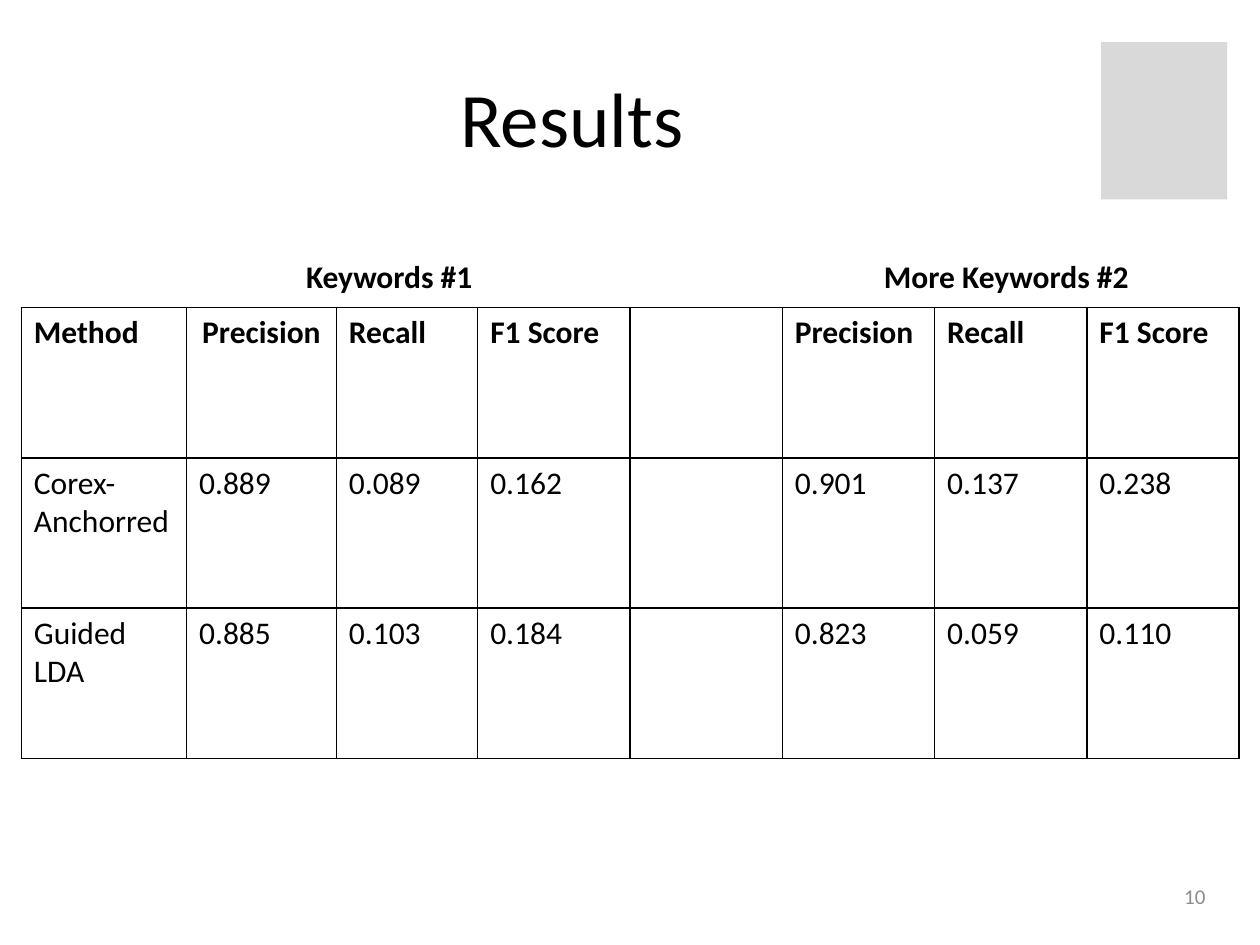
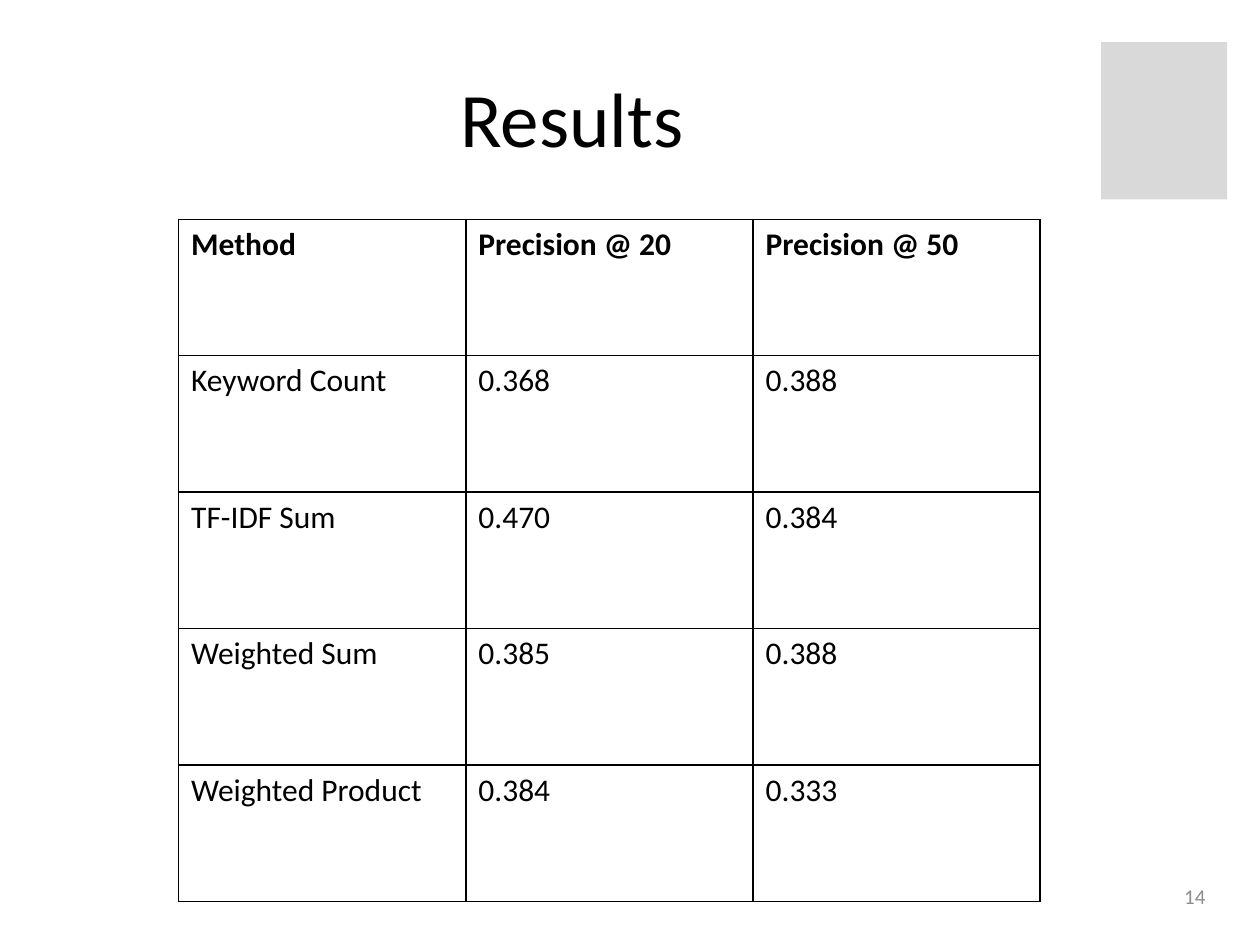
from lxml import etree
from pptx import Presentation
from pptx.dml.color import RGBColor
from pptx.enum.shapes import MSO_SHAPE
from pptx.enum.text import MSO_ANCHOR, PP_ALIGN
from pptx.oxml.ns import qn
from pptx.util import Cm, Pt

RECTANGLE = MSO_SHAPE.RECTANGLE
TOP, MIDDLE = MSO_ANCHOR.TOP, MSO_ANCHOR.MIDDLE
LEFT, CENTER, RIGHT = PP_ALIGN.LEFT, PP_ALIGN.CENTER, PP_ALIGN.RIGHT

BLACK, GREY, LIGHT_GREY = "000000", "8C8C8C", "D9D9D9"
BODY = {"name": "Calibri", "size": Pt(18), "bold": False}
HEADING = {**BODY, "bold": True}
TITLE = {**BODY, "size": Pt(44)}
PAGE_NUMBER = {**BODY, "size": Pt(12)}

KEYWORD_ROWS = [
    ["Method", "Precision", "Recall", "F1 Score", "", "Precision", "Recall", "F1 Score"],
    ["Corex-\nAnchorred", "0.889", "0.089", "0.162", "", "0.901", "0.137", "0.238"],
    ["Guided\nLDA", "0.885", "0.103", "0.184", "", "0.823", "0.059", "0.110"],
]
RANKING_ROWS = [
    ["Method", "Precision @ 20", "Precision @ 50"],
    ["Keyword Count", "0.368", "0.388"],
    ["TF-IDF Sum", "0.470", "0.384"],
    ["Weighted Sum", "0.385", "0.388"],
    ["Weighted Product", "0.384", "0.333"],
]


def rgb(color):
    """Turn a hex string into a colour."""
    return RGBColor.from_string(color)


def write(tf, text, style, color=BLACK, align=LEFT):
    """Fill a text frame with text in one style."""
    tf.text = text
    for p in tf.paragraphs:
        p.alignment = align
        for r in p.runs:
            for key, value in style.items():
                setattr(r.font, key, value)
            r.font.color.rgb = rgb(color)


def add_text(s, box, text, style, color=BLACK, align=LEFT, anchor=TOP):
    """Add a wrapped text box; box is left, top, width, height in cm."""
    tf = s.shapes.add_textbox(*map(Cm, box)).text_frame
    tf.word_wrap = True
    tf.vertical_anchor = anchor
    write(tf, text, style, color, align)


def add_borders(cell, color=BLACK, width=Pt(1)):
    """Draw a solid line on all four sides of a cell."""
    tcPr = cell._tc.get_or_add_tcPr()
    for side in ("a:lnL", "a:lnR", "a:lnT", "a:lnB"):
        ln = etree.SubElement(tcPr, qn(side), w=str(width))
        fill = etree.SubElement(ln, qn("a:solidFill"))
        etree.SubElement(fill, qn("a:srgbClr"), val=color)


def add_grid(s, left, top, widths, row_height, rows):
    """Add a plain ruled table with a bold first row and return it."""
    size = (sum(widths), row_height * len(rows))
    frame = s.shapes.add_table(len(rows), len(widths), *map(Cm, (left, top, *size)))
    table = frame.table
    for column, width in zip(table.columns, widths):
        column.width = Cm(width)
    for i, row in enumerate(rows):
        table.rows[i].height = Cm(row_height)
        for j, text in enumerate(row):
            cell = table.cell(i, j)
            add_borders(cell)
            cell.fill.background()
            write(cell.text_frame, text, BODY if i else HEADING)
    return table


def add_results_slide(prs, number):
    """Add a slide with the shared corner block, title and page number."""
    s = prs.slides.add_slide(prs.slide_layouts[6])
    block = s.shapes.add_shape(RECTANGLE, *map(Cm, (22.2, 0.85, 2.54, 3.17)))
    block.shadow.inherit = False
    block.fill.solid()
    block.fill.fore_color.rgb = rgb(LIGHT_GREY)
    block.line.fill.background()
    add_text(s, (1.27, 0.76, 20.52, 3.17), "Results", TITLE, align=CENTER, anchor=MIDDLE)
    add_text(s, (20.32, 17.57, 4.23, 1.01), str(number), PAGE_NUMBER, GREY, RIGHT, MIDDLE)
    return s


def main():
    """Build both result slides."""
    prs = Presentation()
    prs.slide_width, prs.slide_height = Cm(25.4), Cm(19.05)

    s = add_results_slide(prs, 10)
    table = add_grid(s, 0.43, 6.2, [3.33, 3.02, 2.85] + [3.07] * 5, 3.03, KEYWORD_ROWS)
    table.cell(0, 1).text_frame.paragraphs[0].alignment = CENTER
    for left, width, text in ((5.92, 4.23, "Keywords #1"), (17.57, 5.5, "More Keywords #2")):
        add_text(s, (left, 5.06, width, 1.02), text, HEADING)

    s = add_results_slide(prs, 14)
    add_grid(s, 3.6, 4.42, [5.79] * 3, 2.75, RANKING_ROWS)

    prs.save("out.pptx")


if __name__ == "__main__":
    main()
